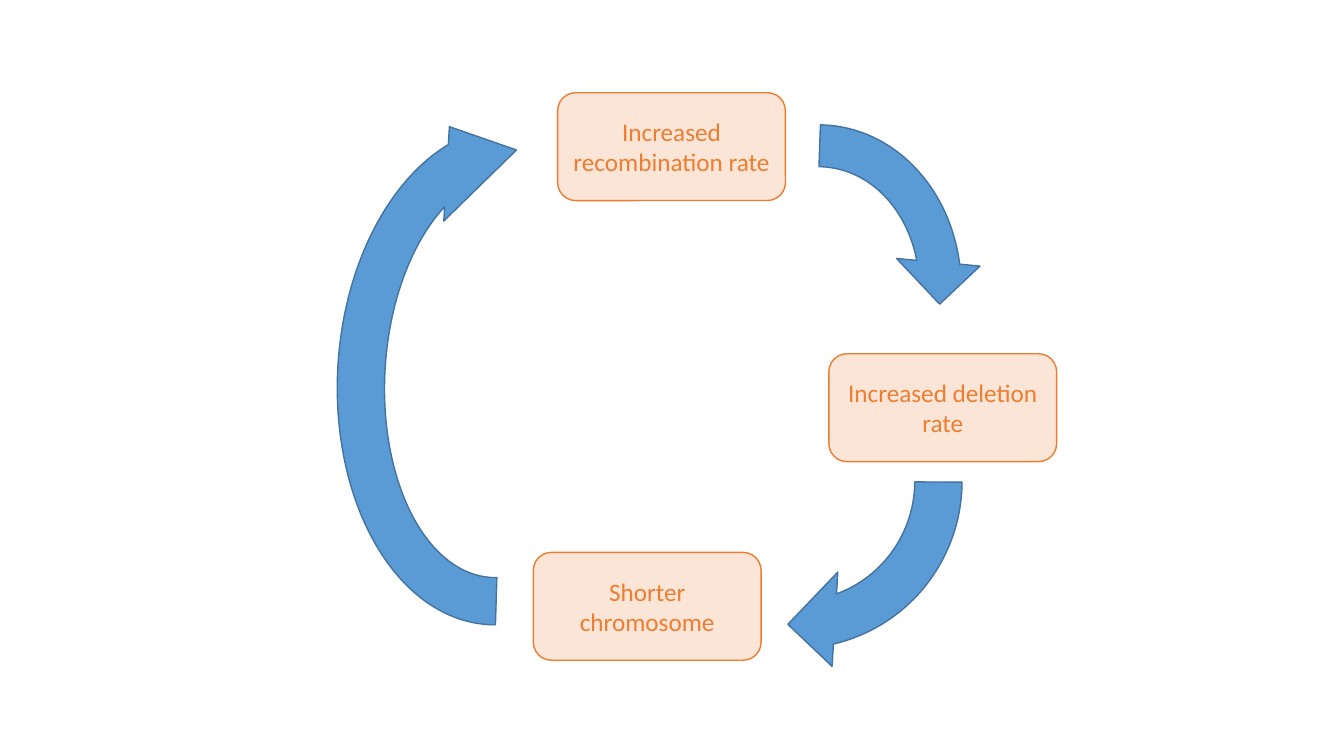
from pptx import Presentation
from pptx import util as u
from pptx.dml.color import RGBColor
from pptx.enum import shapes, text

SLIDE_W, SLIDE_H = u.Inches(13.33), u.Inches(7.5)
STAGE_W, STAGE_H = 16.95, 14.27  # percent of the slide
ARROW_H = 50

# Left and top in percent of the slide
STAGES = [
    ("Increased recombination rate", 41.49, 12.27),
    ("Increased deletion rate", 61.67, 46.8),
    ("Shorter chromosome", 39.68, 73.07),
]
# Left, top and width in percent, rotation in degrees, start of the arc
ARROWS = [
    (48.16, 13.73, 24.91, 5.2, 160.07),
    (45.09, 38.67, 28.36, 93.5, 160.07),
    (17.1, 24.67, 40.66, 273.4, 107.01),
]


def colour(hex_code):
    return RGBColor.from_string(hex_code)


def add_part(cycle, preset, left, top, width, height, fill, line):
    """Add a filled, outlined shape placed in percent of the slide."""
    part = cycle.shapes.add_shape(
        preset,
        round(SLIDE_W * left / 100), round(SLIDE_H * top / 100),
        round(SLIDE_W * width / 100), round(SLIDE_H * height / 100))
    part.shadow.inherit = False
    part.fill.solid()
    part.fill.fore_color.rgb = colour(fill)
    part.line.color.rgb = colour(line)
    part.line.width = u.Pt(1)
    return part


def add_stage(cycle, label, left, top):
    stage = add_part(cycle, shapes.MSO_SHAPE.ROUNDED_RECTANGLE,
                     left, top, STAGE_W, STAGE_H, "FBE5D6", "ED7D31")
    frame = stage.text_frame
    frame.text = label
    frame.word_wrap = True
    frame.vertical_anchor = text.MSO_ANCHOR.MIDDLE
    paragraph = frame.paragraphs[0]
    paragraph.alignment = text.PP_ALIGN.CENTER
    font = paragraph.runs[0].font
    font.name = "Calibri"
    font.size = u.Pt(18)
    font.color.rgb = colour("ED7D31")


def add_arrow(cycle, left, top, width, rotation, arc_start):
    arrow = add_part(cycle, shapes.MSO_SHAPE.CIRCULAR_ARROW,
                     left, top, width, ARROW_H, "5B9BD5", "43739E")
    arrow.rotation = rotation
    # Thickness, head angle, arc end, arc start, head width
    for i, value in enumerate((0.125, 11.42, 204.58, arc_start, 0.125)):
        arrow.adjustments[i] = value


def main():
    prs = Presentation()
    prs.slide_width, prs.slide_height = SLIDE_W, SLIDE_H
    slide = prs.slides.add_slide(prs.slide_layouts.get_by_name("Blank"))
    cycle = slide.shapes.add_group_shape()

    # Stages of the feedback cycle
    for stage in STAGES:
        add_stage(cycle, *stage)

    # Arrows leading from stage to stage
    for arrow in ARROWS:
        add_arrow(cycle, *arrow)

    prs.save("out.pptx")


if __name__ == "__main__":
    main()
